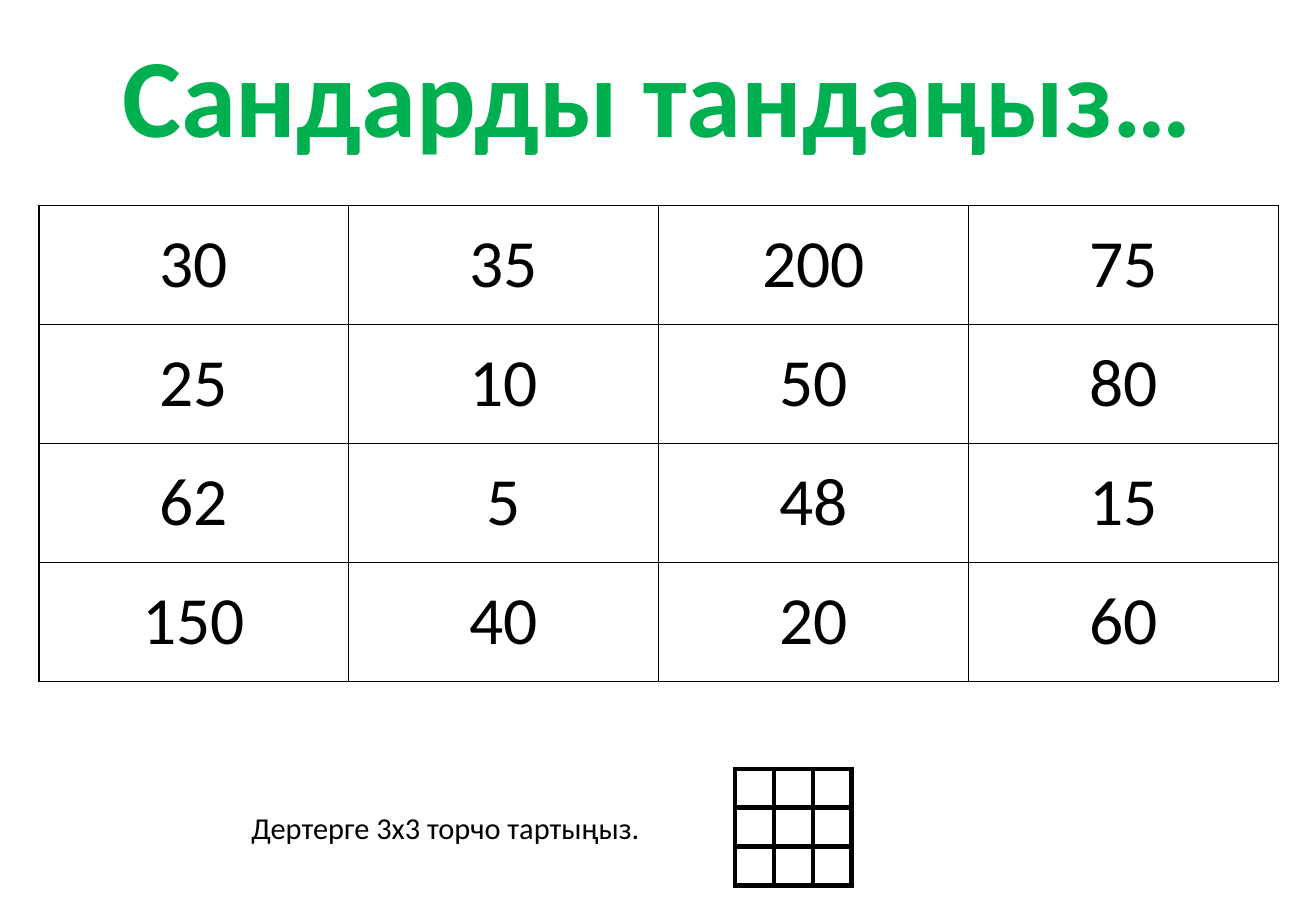
from lxml import etree
from pptx import Presentation
from pptx.dml.color import RGBColor
from pptx.enum.text import MSO_ANCHOR, PP_ALIGN
from pptx.oxml.ns import qn
from pptx.util import Inches, Pt

CENTER, LEFT = PP_ALIGN.CENTER, PP_ALIGN.LEFT
MIDDLE = MSO_ANCHOR.MIDDLE
WIDTH, HEIGHT = 10.83, 7.5
FONT = "Calibri"
COLORS = {"ink": "000000", "paper": "FFFFFF", "title": "00B050"}
NUMBERS = [
    ["30", "35", "200", "75"],
    ["25", "10", "50", "80"],
    ["62", "5", "48", "15"],
    ["150", "40", "20", "60"],
]
EMPTY_GRID = [[""] * 3 for _ in range(3)]


def style_paragraph(p, size, color, align, bold=False):
    p.alignment = align
    for r in p.runs:
        r.font.name = FONT
        r.font.size = Pt(size)
        r.font.bold = bold
        r.font.color.rgb = RGBColor.from_string(COLORS[color])


def add_text(s, text, left, top, width, height, size, color, align, bold=False):
    box = s.shapes.add_textbox(Inches(left), Inches(top), Inches(width), Inches(height))
    tf = box.text_frame
    tf.word_wrap = False
    tf.text = text
    style_paragraph(tf.paragraphs[0], size, color, align, bold)


def set_borders(cell, points):
    tc_pr = cell._tc.get_or_add_tcPr()
    for side in ("lnL", "lnR", "lnT", "lnB"):
        line = etree.SubElement(tc_pr, qn(f"a:{side}"), w=str(Pt(points)))
        fill = etree.SubElement(line, qn("a:solidFill"))
        etree.SubElement(fill, qn("a:srgbClr"), val=COLORS["ink"])


def fill_cell(cell, text, size, border):
    cell.margin_left = cell.margin_right = cell.margin_top = cell.margin_bottom = 0
    cell.vertical_anchor = MIDDLE
    set_borders(cell, border)
    cell.fill.solid()
    cell.fill.fore_color.rgb = RGBColor.from_string(COLORS["paper"])
    p = cell.text_frame.paragraphs[0]
    if text:
        p.text = text
    else:
        etree.SubElement(p._p, qn("a:endParaRPr"), sz=str(size * 100))
    style_paragraph(p, size, "ink", CENTER)


def add_grid(s, rows, left, top, col_width, row_height, size, border):
    n_rows, n_cols = len(rows), len(rows[0])
    frame = s.shapes.add_table(
        n_rows, n_cols, Inches(left), Inches(top),
        Inches(col_width * n_cols), Inches(row_height * n_rows))
    table = frame.table
    table.first_row = table.horz_banding = False
    for column in table.columns:
        column.width = Inches(col_width)
    for row, texts in zip(table.rows, rows):
        row.height = Inches(row_height)
        for cell, text in zip(row.cells, texts):
            fill_cell(cell, text, size, border)


def main():
    prs = Presentation()
    prs.slide_width, prs.slide_height = Inches(WIDTH), Inches(HEIGHT)
    s = prs.slides.add_slide(prs.slide_layouts[6])
    add_grid(s, NUMBERS, 0.32, 1.69, 2.55, 0.98, size=40, border=1)
    add_grid(s, EMPTY_GRID, 6.05, 6.33, 0.32, 0.32, size=8, border=3)
    add_text(s, "Дертерге 3х3 торчо тартыңыз.", 1.97, 6.61, 3.44, 0.4, 18, "ink", LEFT)
    add_text(s, "Сандарды тандаңыз…", 0.79, 0.17, 9.24, 1.21, 66, "title", CENTER, bold=True)
    prs.save("out.pptx")


if __name__ == "__main__":
    main()
